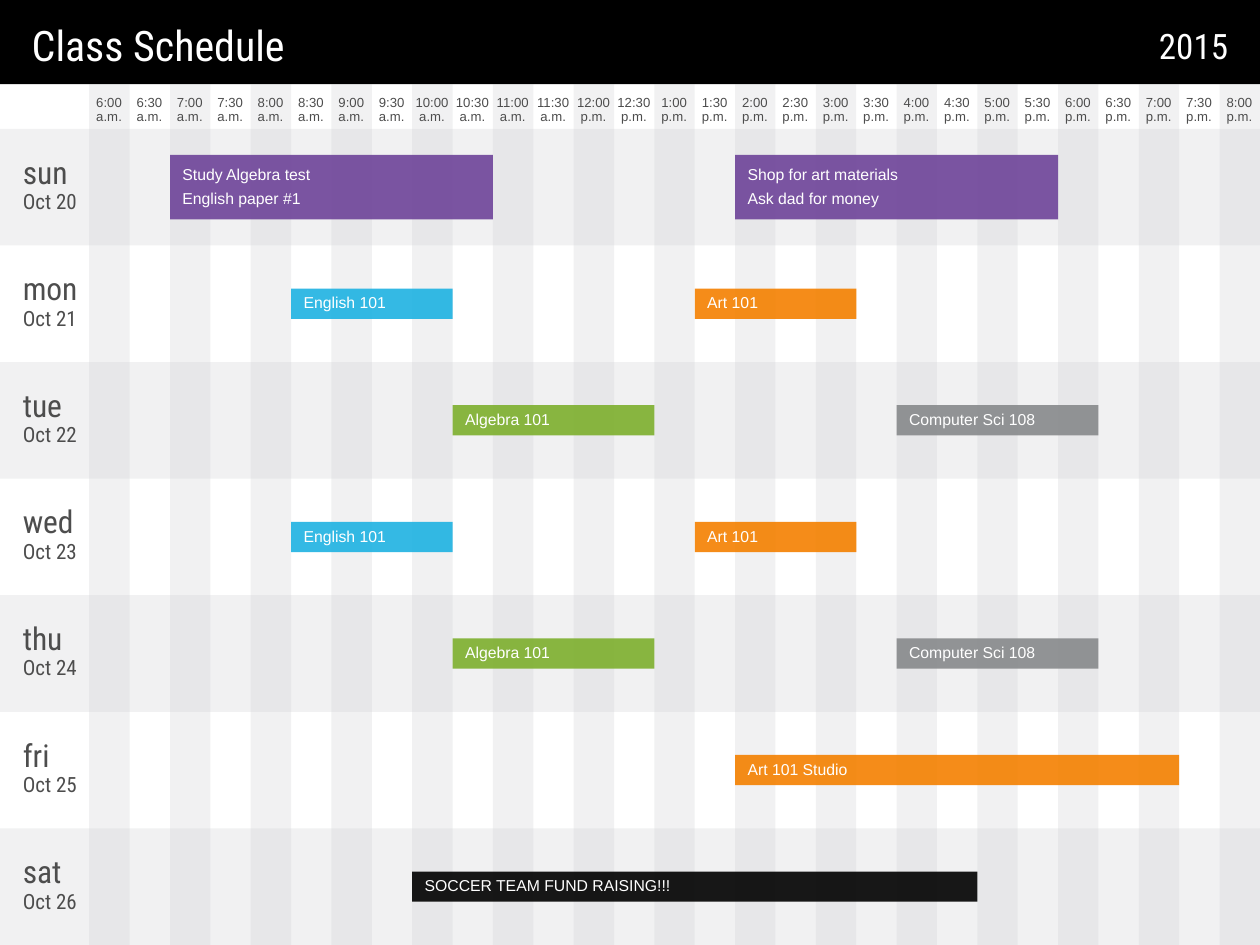
from lxml import etree
from pptx import Presentation
from pptx.dml.color import RGBColor
from pptx.enum.shapes import MSO_SHAPE
from pptx.enum.text import MSO_ANCHOR, MSO_AUTO_SIZE, PP_ALIGN
from pptx.oxml.ns import qn
from pptx.util import Cm, Pt

RECTANGLE = MSO_SHAPE.RECTANGLE
TOP, MIDDLE, BOTTOM = MSO_ANCHOR.TOP, MSO_ANCHOR.MIDDLE, MSO_ANCHOR.BOTTOM
LEFT, CENTER, RIGHT = PP_ALIGN.LEFT, PP_ALIGN.CENTER, PP_ALIGN.RIGHT
FIXED_SIZE, GROW_TO_TEXT = MSO_AUTO_SIZE.NONE, MSO_AUTO_SIZE.SHAPE_TO_FIT_TEXT

WHITE = RGBColor(0xFF, 0xFF, 0xFF)
BLACK = RGBColor(0x00, 0x00, 0x00)
TEXT_GRAY = RGBColor(0x4D, 0x4D, 0x4D)
STRIPE = RGBColor(0xD2, 0xD3, 0xD6)
PURPLE = RGBColor(0x6E, 0x43, 0x99)
BLUE = RGBColor(0x1E, 0xB2, 0xE2)
ORANGE = RGBColor(0xF4, 0x80, 0x00)
GREEN = RGBColor(0x7D, 0xAF, 0x2D)
GRAY = RGBColor(0x87, 0x89, 0x8B)

# Grid in centimetres: half-hour columns from 6:00 a.m., one row for each day.
PAGE_WIDTH, PAGE_HEIGHT = 25.4, 19.05
BAND_HEIGHT = 1.7
GRID_LEFT, GRID_TOP = 1.8, 2.6
SLOTS = 29
DAYS = ["sun", "mon", "tue", "wed", "thu", "fri", "sat"]
SLOT_WIDTH = (PAGE_WIDTH - GRID_LEFT) / SLOTS
ROW_HEIGHT = (PAGE_HEIGHT - GRID_TOP) / len(DAYS)

# Day, start hour, end hour, colour, lines of text.
EVENTS = [
    ("sun", 7, 11, PURPLE, ["Study Algebra test", "English paper #1"]),
    ("sun", 14, 18, PURPLE, ["Shop for art materials", "Ask dad for money"]),
    ("fri", 14, 19.5, ORANGE, ["Art 101 Studio"]),
    ("sat", 10, 17, BLACK, ["SOCCER TEAM FUND RAISING!!!"]),
]
for weekday in ("mon", "wed"):
    EVENTS += [(weekday, 8.5, 10.5, BLUE, ["English 101"]),
               (weekday, 13.5, 15.5, ORANGE, ["Art 101"])]
for weekday in ("tue", "thu"):
    EVENTS += [(weekday, 10.5, 13, GREEN, ["Algebra 101"]),
               (weekday, 16, 18.5, GRAY, ["Computer Sci 108"])]


class SchedulePage:
    """Draws schedule elements on one slide in a shared style."""

    heading_font = "Roboto Condensed"
    text_font = "Arial"

    def __init__(self, page):
        """Keep the slide to draw on."""
        self.page = page

    def set_text(self, box, lines, size, font, color, align=LEFT,
                 anchor=MIDDLE, spacing=0.9, before=0, inset=True,
                 auto_size=FIXED_SIZE):
        """Fill a shape with paragraphs of one format."""
        frame = box.text_frame
        frame.word_wrap = True
        frame.auto_size = auto_size
        frame.vertical_anchor = anchor
        if not inset:
            frame.margin_left = frame.margin_right = 0
            frame.margin_top = frame.margin_bottom = 0
        frame.text = "\n".join(lines)
        for para in frame.paragraphs:
            para.alignment = align
            para.line_spacing = spacing
            para.space_before = Pt(before)
            para.font.size = Pt(size)
            para.font.name = font
            para.font.color.rgb = color

    def bar(self, left, top, width, height, color, opacity=100):
        """Add a plain rectangle, see-through below 100 percent opacity."""
        box = self.page.shapes.add_shape(
            RECTANGLE, Cm(left), Cm(top), Cm(width), Cm(height))
        box.shadow.inherit = False
        box.fill.solid()
        box.fill.fore_color.rgb = color
        if opacity < 100:
            fill_color = box.element.xpath("./p:spPr/a:solidFill/a:srgbClr")[0]
            alpha = etree.SubElement(fill_color, qn("a:alpha"))
            alpha.set("val", str(opacity * 1000))
        box.line.fill.background()
        return box

    def label(self, text, left, top, width, height, size, font,
              color=TEXT_GRAY, **style):
        """Add a text box without insets."""
        box = self.page.shapes.add_textbox(
            Cm(left), Cm(top), Cm(width), Cm(height))
        self.set_text(box, [text], size, font, color, inset=False, **style)

    def title(self, text):
        """Place the title on the header band."""
        box = self.page.shapes.title
        box.left, box.top = Cm(0.64), Cm(0.46)
        box.width, box.height = Cm(20.96), Cm(1.02)
        self.set_text(box, [text], 24, self.heading_font, WHITE, inset=False)
        box.element.getparent().append(box.element)  # in front of the band

    def time_label(self, slot):
        """Put the time at the head of a half-hour column."""
        hour, half = divmod(slot + 12, 2)
        suffix = "a.m." if hour < 12 else "p.m."
        text = f"{(hour - 1) % 12 + 1}:{half * 30:02d}\v{suffix}"
        self.label(text, GRID_LEFT + slot * SLOT_WIDTH, 1.83, 0.8, 0.79, 7.5,
                   self.text_font, align=CENTER)

    def day_label(self, row, day):
        """Put the weekday and its date at the left of a row."""
        top = GRID_TOP + row * ROW_HEIGHT
        self.label(day, 0.46, top + 0.36, 1.34, 0.88, 18, self.heading_font,
                   anchor=BOTTOM, spacing=1.0)
        self.label(f"Oct {20 + row}", 0.46, top + 1.26, 1.34, 0.79, 12,
                   self.heading_font, anchor=TOP)

    def event(self, day, start, end, color, lines):
        """Add an event bar, centred in the row of its day."""
        height = 0.61 if len(lines) == 1 else 1.3
        middle = GRID_TOP + (DAYS.index(day) + 0.5) * ROW_HEIGHT
        box = self.bar(GRID_LEFT + (start - 6) * 2 * SLOT_WIDTH,
                       middle - height / 2, (end - start) * 2 * SLOT_WIDTH,
                       height, color, 90)
        self.set_text(box, lines, 9, self.text_font, WHITE, before=4,
                      auto_size=GROW_TO_TEXT)


def main():
    """Build the class schedule."""
    deck = Presentation()
    deck.slide_width, deck.slide_height = Cm(PAGE_WIDTH), Cm(PAGE_HEIGHT)
    schedule = SchedulePage(deck.slides.add_slide(deck.slide_layouts[5]))

    for row in range(0, len(DAYS), 2):
        schedule.bar(0, GRID_TOP + row * ROW_HEIGHT, PAGE_WIDTH, ROW_HEIGHT,
                     STRIPE, 30)
    for slot in range(0, SLOTS, 2):
        schedule.bar(GRID_LEFT + slot * SLOT_WIDTH, BAND_HEIGHT, SLOT_WIDTH,
                     PAGE_HEIGHT - BAND_HEIGHT, STRIPE, 30)

    schedule.bar(0, 0, PAGE_WIDTH, BAND_HEIGHT, BLACK)
    schedule.title("Class Schedule")
    schedule.label("2015", 21.72, 0.46, 3.04, 1.02, 20,
                   schedule.heading_font, WHITE, align=RIGHT)

    for slot in range(SLOTS):
        schedule.time_label(slot)
    for row, day in enumerate(DAYS):
        schedule.day_label(row, day)
    for event in EVENTS:
        schedule.event(*event)
    deck.save("out.pptx")


main()
